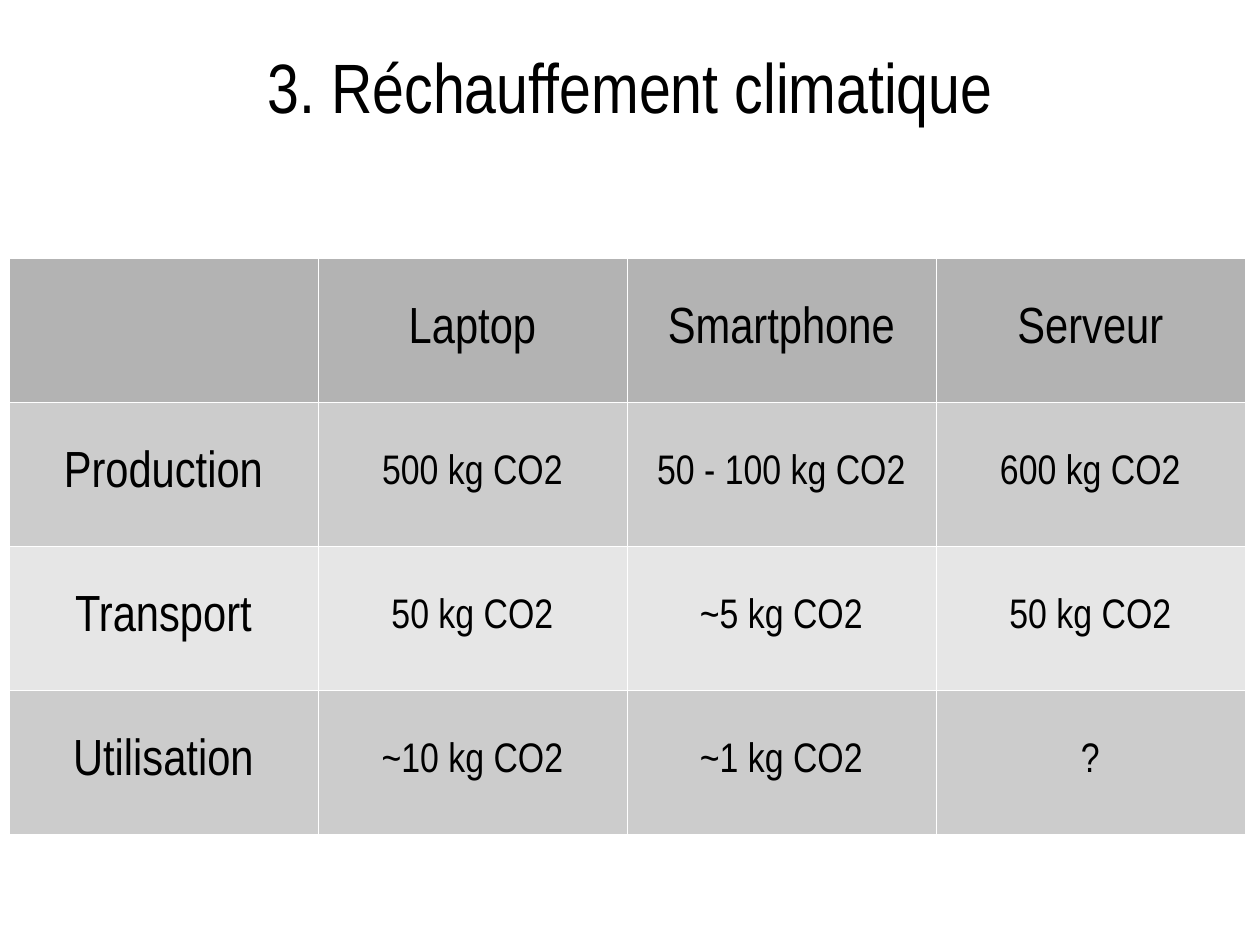
from lxml import etree
from pptx import Presentation
from pptx.dml.color import RGBColor
from pptx.enum import text
from pptx.oxml.ns import qn

# Content
TITLE = "3. Réchauffement climatique"
ROWS = [
    ("", "Laptop", "Smartphone", "Serveur"),
    ("Production", "500 kg CO2", "50 - 100 kg CO2", "600 kg CO2"),
    ("Transport", "50 kg CO2", "~5 kg CO2", "50 kg CO2"),
    ("Utilisation", "~10 kg CO2", "~1 kg CO2", "?"),
]

# Format
PX = 8000  # EMU per px
PT = 12700  # EMU per point
SLIDE_W, SLIDE_H = 1260, 945
TITLE_BOX = dict(left=32, top=9, width=1197, height=153)
TABLE_LEFT, TABLE_TOP, COL_W, ROW_H = 9, 258, 309, 144
BLACK = RGBColor(0x00, 0x00, 0x00)
WHITE = RGBColor(0xFF, 0xFF, 0xFF)
HEAD = RGBColor(0xB3, 0xB3, 0xB3)
BANDS = [RGBColor(0xE6, 0xE6, 0xE6), RGBColor(0xCC, 0xCC, 0xCC)]
TITLE_SIZE, LABEL_SIZE, VALUE_SIZE = 44, 32, 26
BORDER_PT = 0.06


def write(tf, words, size):
    p = tf.paragraphs[0]
    p.alignment = text.PP_ALIGN.CENTER
    font = p.font
    if words:
        r = p.add_run()
        r.text = words
        font = r.font
    for name, value in dict(name="Arial Narrow", size=size * PT, bold=False).items():
        setattr(font, name, value)
    font.color.rgb = BLACK


def add_borders(cell):
    tcPr = cell._tc.get_or_add_tcPr()
    for i, side in enumerate(("lnL", "lnR", "lnT", "lnB")):
        ln = etree.Element(qn(f"a:{side}"), w=str(round(BORDER_PT * PT)))
        fill = etree.SubElement(ln, qn("a:solidFill"))
        etree.SubElement(fill, qn("a:srgbClr"), val=str(WHITE))
        tcPr.insert(i, ln)


prs = Presentation()
prs.slide_width, prs.slide_height = SLIDE_W * PX, SLIDE_H * PX
s = prs.slides.add_slide(prs.slide_layouts[5])

# Title
title = s.shapes.title
for name, value in TITLE_BOX.items():
    setattr(title, name, value * PX)
tf = title.text_frame
for name, value in dict(margin_left=0, margin_right=0, margin_top=0, margin_bottom=0,
                        word_wrap=True, vertical_anchor=text.MSO_ANCHOR.MIDDLE).items():
    setattr(tf, name, value)
write(tf, TITLE, TITLE_SIZE)

# Table
n_rows, n_cols = len(ROWS), len(ROWS[0])
table = s.shapes.add_table(n_rows, n_cols, TABLE_LEFT * PX, TABLE_TOP * PX,
                           n_cols * COL_W * PX, n_rows * ROW_H * PX).table
for i, row in enumerate(ROWS):
    for j, words in enumerate(row):
        cell = table.cell(i, j)
        cell.vertical_anchor = text.MSO_ANCHOR.MIDDLE
        cell.fill.solid()
        cell.fill.fore_color.rgb = BANDS[i % 2] if i else HEAD
        write(cell.text_frame, words, VALUE_SIZE if i and j else LABEL_SIZE)
        add_borders(cell)

prs.save("out.pptx")
